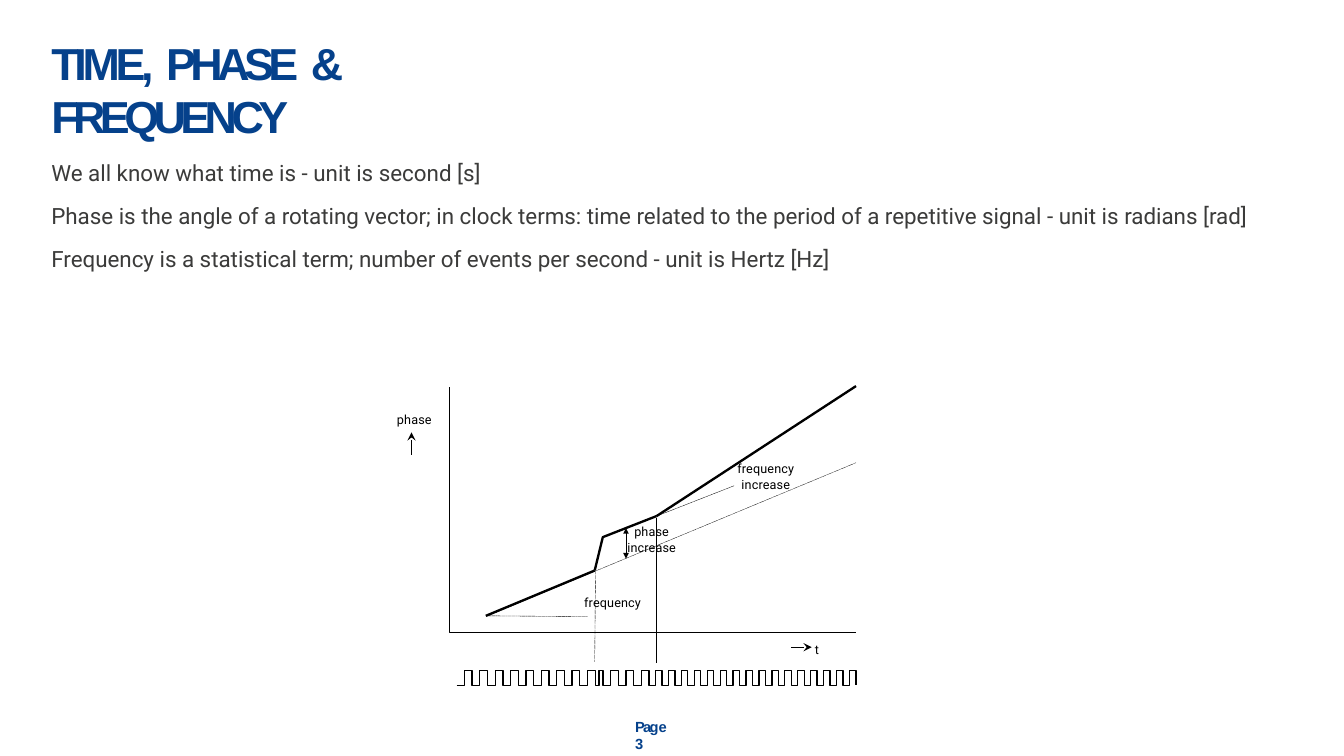
from dataclasses import dataclass
from itertools import accumulate

from lxml import etree
from pptx import Presentation
from pptx.dml.color import RGBColor
from pptx.enum.dml import MSO_LINE_DASH_STYLE as Dash
from pptx.enum.shapes import MSO_CONNECTOR_TYPE as Connector
from pptx.enum.text import MSO_ANCHOR as Anchor, PP_ALIGN as Align
from pptx.oxml.ns import qn
from pptx.util import Inches, Pt

BLUE = RGBColor(0x05, 0x41, 0x8B)
GREY = RGBColor(0x3B, 0x3B, 0x3A)
BLACK = RGBColor(0, 0, 0)
WHITE = RGBColor(255, 255, 255)

HAIR, AXIS, THIN, THICK = 0.25, 0.56, 0.93, 1.67


@dataclass
class Box:
    """A region in inches."""
    left: float
    top: float
    width: float
    height: float

    def point(self, x, y):
        """Slide position of a point given in percent from the lower left corner."""
        return (Inches(self.left + self.width * x / 100),
                Inches(self.top + self.height * (1 - y / 100)))


def add_text(page, box, paragraphs, font, size, colour, bold=False):
    """Each paragraph is a list of (words, letter spacing in points)."""
    shape = page.shapes.add_textbox(*map(Inches, (box.left, box.top, box.width, box.height)))
    frame = shape.text_frame
    frame.word_wrap = True
    frame.margin_left = frame.margin_right = frame.margin_top = frame.margin_bottom = 0
    for index, pieces in enumerate(paragraphs):
        para = frame.paragraphs[0] if index == 0 else frame.add_paragraph()
        for words, spacing in pieces:
            span = para.add_run()
            span.text = words
            span.font.name = font
            span.font.size = Pt(size)
            span.font.bold = bold
            span.font.color.rgb = colour
            span._r.get_or_add_rPr().set("spc", str(round(spacing * 100)))
    return frame


def add_line(page, start, end, weight, dash=None, **arrows):
    """Arrows are headEnd or tailEnd, each a (type, size) pair."""
    line = page.shapes.add_connector(Connector.STRAIGHT, *start, *end)
    line.line.color.rgb = BLACK
    line.line.width = Pt(weight)
    if dash:
        line.line.dash_style = dash
    outline = line.line._get_or_add_ln()
    for tag in ("headEnd", "tailEnd"):
        if tag in arrows:
            kind, size = arrows[tag]
            etree.SubElement(outline, qn("a:" + tag), type=kind, w=size, len=size)
    etree.SubElement(line._element.spPr, qn("a:effectLst"))


def add_outline(page, strokes, weight, dash=None):
    """Draw one open shape from a list of strokes, each a list of points."""
    builder = page.shapes.build_freeform(*strokes[0][0])
    for index, stroke in enumerate(strokes):
        if index:
            builder.move_to(*stroke[0])
        builder.add_line_segments(stroke[1:], close=False)
    shape = builder.convert_to_shape()
    shape.shadow.inherit = False
    shape.fill.background()
    shape.line.color.rgb = BLACK
    shape.line.width = Pt(weight)
    if dash:
        shape.line.dash_style = dash


def add_title(page, box):
    pieces = [("TIME,", -3.1), (" ", 0), ("PHASE", -4), (" ", 0), ("&", -4.2),
              (" ", 0), ("FREQUENCY", -4)]
    add_text(page, box, [pieces], "Arial", 32, BLUE, bold=True)


def add_definitions(page, box):
    lines = [
        "We all know what time is - unit is second [s]",
        "Phase is the angle of a rotating vector; in clock terms: time related to "
        "the period of a repetitive signal - unit is radians [rad]",
        "Frequency is a statistical term; number of events per second - unit is Hertz [Hz]",
    ]
    frame = add_text(page, box, [[(line, 0)] for line in lines], "Roboto", 16, GREY)
    for para in frame.paragraphs[1:]:
        para.line_spacing = 1.6


def add_label(page, plot, x, y, lines):
    """Centre a small label on a point of the plot."""
    width, height = 0.8, 0.15 * len(lines)
    left = plot.left + plot.width * x / 100 - width / 2
    top = plot.top + plot.height * (1 - y / 100) - height / 2
    frame = add_text(page, Box(left, top, width, height),
                     [[(line, 0.1)] for line in lines], "Roboto", 9, BLACK)
    frame.vertical_anchor = Anchor.MIDDLE
    for para in frame.paragraphs:
        para.alignment = Align.CENTER
        para.line_spacing = 1.03


def add_phase_plot(page, plot):
    at = plot.point
    start, jump, landing, bend, finish = (
        at(8.9, 6.6), at(35.7, 25.1), at(37.7, 38.7), at(50.9, 47.3), at(100, 100.4))

    add_outline(page, [[at(0, 100), at(0, 0), at(100, 0)]], AXIS)
    for course in ([start, jump], [jump, landing, bend], [bend, finish]):
        add_outline(page, [course], THICK)

    add_line(page, start, at(34, 6.3), HAIR, Dash.SQUARE_DOT)
    add_line(page, bend, at(70, 59.7), HAIR, Dash.SQUARE_DOT)
    add_outline(page, [
        [at(9.4, 6.6), at(100, 69.1)],
        [at(35.9, 24.7), at(35.7, -12.3)],
        [at(50.9, 46.5), at(50.9, -12.3)],
    ], HAIR, Dash.ROUND_DOT)

    small, medium = ("triangle", "sm"), ("stealth", "med")
    add_line(page, at(43.4, 42.4), at(43.4, 30), HAIR, headEnd=small, tailEnd=small)
    add_line(page, at(-9.4, 72.4), at(-9.4, 81.5), THIN, tailEnd=medium)
    add_line(page, at(84.1, -6.2), at(89.1, -6.2), THIN, tailEnd=medium)

    for x, y, lines in [
        (-8.7, 86.8, ["phase"]),
        (77.8, 63.5, ["frequency", "increase"]),
        (49.7, 37.8, ["phase", "increase"]),
        (40.1, 12.3, ["frequency"]),
        (90.4, -7.2, ["t"]),
    ]:
        add_label(page, plot, x, y, lines)


def add_clock_signal(page, box):
    """Square wave with a phase jump, then a higher frequency."""
    steps = [1] * 18 + [0.5] * 2 + [1] * 6 + [0.84] * 32
    total = sum(steps)
    level, points = 0, [box.point(0, 0)]
    for edge in accumulate(steps):
        x = 100 * edge / total
        points += [box.point(x, level), box.point(x, 100 - level)]
        level = 100 - level
    add_outline(page, [points], THIN)


def add_page_number(page, box):
    add_text(page, box, [[("Pag", -1.2), ("e 3", -1.1)]], "Arial", 10.5, BLUE, bold=True)


def main():
    deck = Presentation()
    deck.slide_width, deck.slide_height = Inches(13.33), Inches(7.5)
    page = deck.slides.add_slide(deck.slide_layouts[6])
    page.background.fill.solid()
    page.background.fill.fore_color.rgb = WHITE
    add_title(page, Box(0.51, 0.35, 5.1, 1.03))
    add_definitions(page, Box(0.51, 1.58, 11.93, 1.16))
    add_phase_plot(page, Box(4.46, 3.84, 4.03, 2.43))
    add_clock_signal(page, Box(4.53, 6.65, 3.96, 0.15))
    add_page_number(page, Box(6.3, 7.12, 0.4, 0.34))
    deck.save("out.pptx")


if __name__ == "__main__":
    main()
